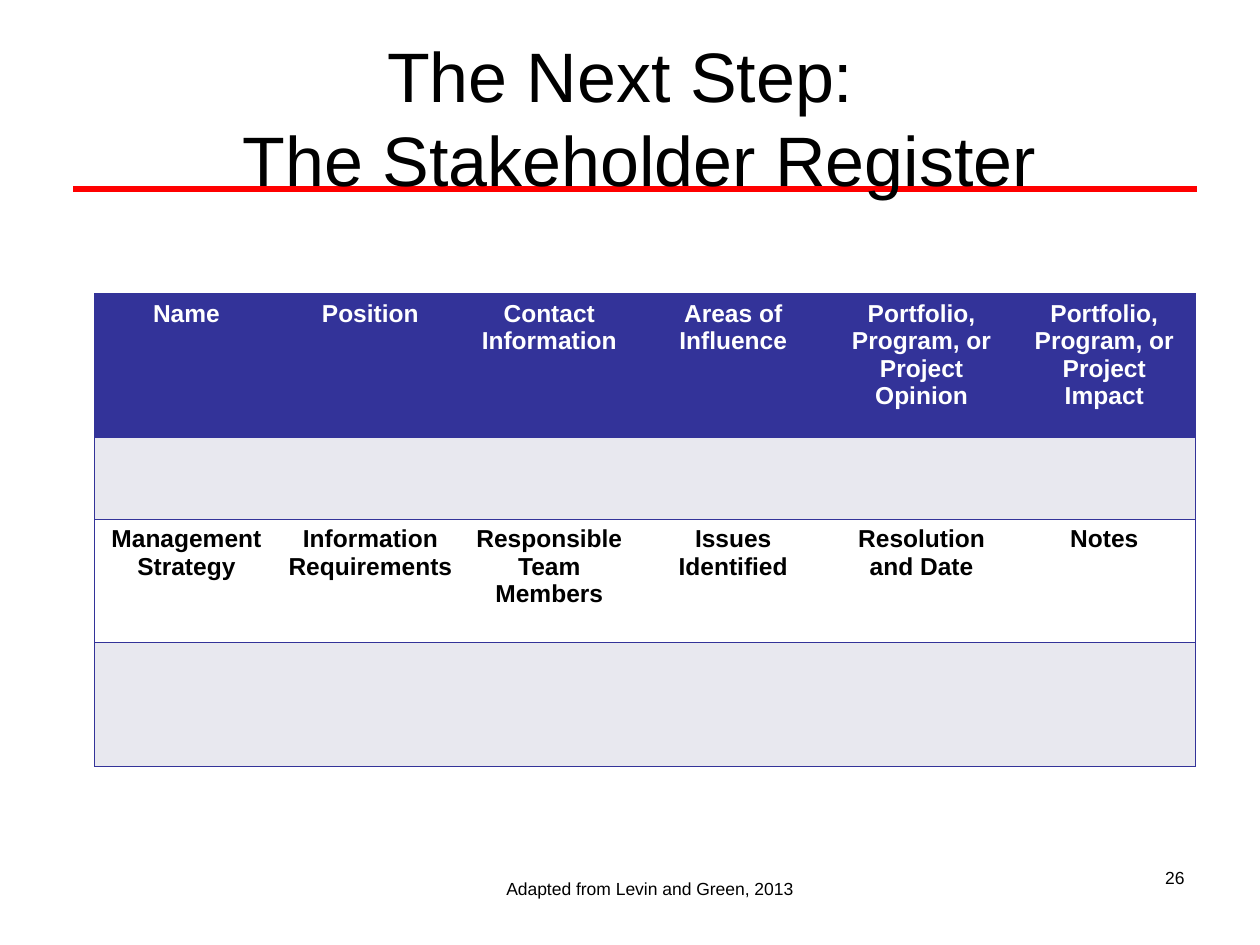
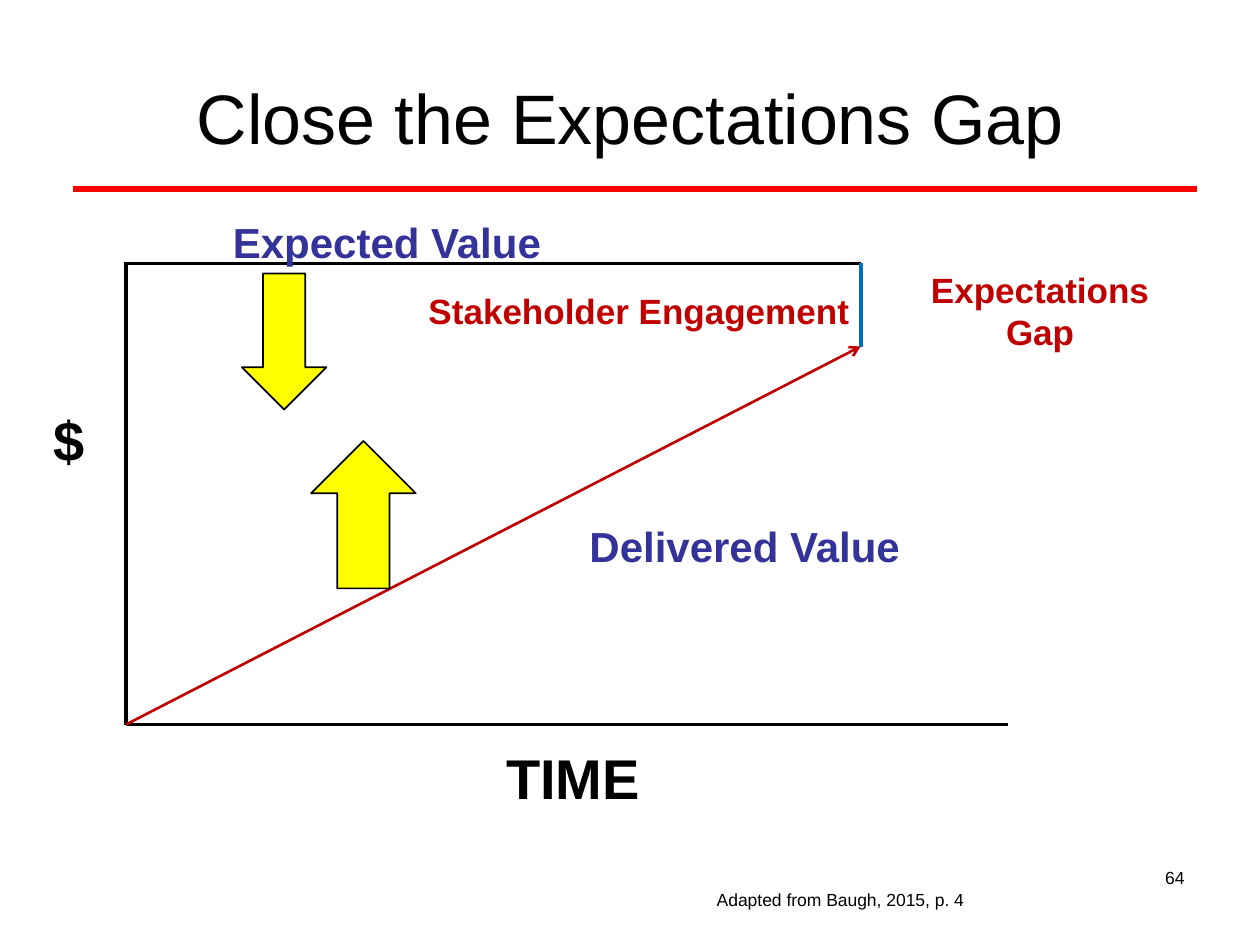
from lxml.etree import SubElement
from pptx import Presentation
from pptx.dml.color import RGBColor
from pptx.enum.shapes import MSO_CONNECTOR, MSO_SHAPE
from pptx.enum.text import MSO_ANCHOR, MSO_AUTO_SIZE, PP_ALIGN
from pptx.oxml.ns import qn
from pptx.util import Inches, Pt

BLACK = RGBColor(0x00, 0x00, 0x00)
WHITE = RGBColor(0xFF, 0xFF, 0xFF)
RED = RGBColor(0xFF, 0x00, 0x00)
DARK_RED = RGBColor(0xC0, 0x00, 0x00)
INDIGO = RGBColor(0x33, 0x33, 0x99)
PALE = RGBColor(0xE8, 0xE8, 0xEF)
BLUE = RGBColor(0x00, 0x70, 0xC0)
YELLOW = RGBColor(0xFF, 0xFF, 0x00)
FONT = "Arial"
NO_GRID_STYLE = "{2D5ABB26-0587-4C30-8999-92F81FD0307C}"


class Deck:
    """Holds the shared style and the slide being built."""

    def __init__(self):
        self.prs = Presentation()
        self.prs.slide_width = Inches(10)
        self.prs.slide_height = Inches(7.5)
        self.slide = None

    def format_text(self, frame, size, color, bold=False, align=PP_ALIGN.LEFT):
        for paragraph in frame.paragraphs:
            paragraph.alignment = align
            for run in paragraph.runs:
                run.font.name = FONT
                run.font.size = Pt(size)
                run.font.bold = bold
                run.font.color.rgb = color

    def start_slide(self, heading, number):
        self.slide = self.prs.slides.add_slide(self.prs.slide_layouts[5])
        title = self.slide.shapes.title
        title.left, title.top = Inches(0.5), Inches(0.3)
        title.width, title.height = Inches(9), Inches(1.25)
        frame = title.text_frame
        frame.text = heading
        frame.auto_size = MSO_AUTO_SIZE.NONE
        frame.vertical_anchor = MSO_ANCHOR.MIDDLE
        self.format_text(frame, 40, BLACK, align=PP_ALIGN.CENTER)
        # The rule lies behind the title
        rule = self.line((0.58, 1.5), (9.5, 1.5), RED, 3)
        title.element.addprevious(rule.element)
        self.label(str(number), (7.17, 6.83, 2.33, 0.52), 10, align=PP_ALIGN.RIGHT)

    def label(self, text, box, size, color=BLACK, bold=False,
              align=PP_ALIGN.LEFT, wrap=True):
        frame = self.slide.shapes.add_textbox(*map(Inches, box)).text_frame
        frame.word_wrap = wrap
        frame.text = text
        self.format_text(frame, size, color, bold, align)

    def line(self, start, end, color, width, arrow=False):
        connector = self.slide.shapes.add_connector(
            MSO_CONNECTOR.STRAIGHT, *map(Inches, start + end))
        connector.line.color.rgb = color
        connector.line.width = Pt(width)
        properties = connector.element.spPr
        if arrow:
            SubElement(properties.find(qn("a:ln")), qn("a:tailEnd"), type="arrow")
        SubElement(properties, qn("a:effectLst"))
        return connector

    def block_arrow(self, kind, box):
        arrow = self.slide.shapes.add_shape(kind, *map(Inches, box))
        arrow.shadow.inherit = False
        arrow.fill.solid()
        arrow.fill.fore_color.rgb = YELLOW
        arrow.line.color.rgb = BLACK
        arrow.line.width = Pt(1)

    def border(self, cell, sides):
        properties = cell._tc.get_or_add_tcPr()
        for side in sides:
            edge = SubElement(properties, qn(f"a:ln{side}"), w=str(Pt(0.45)))
            fill = SubElement(edge, qn("a:solidFill"))
            SubElement(fill, qn("a:srgbClr"), val=str(INDIGO))

    def table(self, rows, styles, left, top, widths, heights):
        grid = self.slide.shapes.add_table(
            len(rows), len(widths), Inches(left), Inches(top),
            Inches(sum(widths)), Inches(sum(heights))).table
        grid.first_row = grid.horz_banding = False
        grid._tbl.tblPr.find(qn("a:tableStyleId")).text = NO_GRID_STYLE
        for column, width in zip(grid.columns, widths):
            column.width = Inches(width)
        for r, (texts, (fill, color), height) in enumerate(zip(rows, styles, heights)):
            grid.rows[r].height = Inches(height)
            for c, text in enumerate(texts):
                cell = grid.cell(r, c)
                cell.margin_left = cell.margin_right = Inches(0.07)
                left_side = "L" if c == 0 else ""
                right_side = "R" if c == len(widths) - 1 else ""
                self.border(cell, left_side + right_side + "TB")
                cell.fill.solid()
                cell.fill.fore_color.rgb = fill
                cell.text_frame.text = text
                self.format_text(cell.text_frame, 14, color, True, PP_ALIGN.CENTER)


def build_register(deck):
    deck.start_slide("The Next Step: \v The Stakeholder Register", 26)
    # Two heading rows, each followed by an empty row to fill in
    blank = [""] * 6
    register = [
        ["Name", "Position", "Contact Information", "Areas of Influence",
         "Portfolio, Program, or Project Opinion",
         "Portfolio, Program, or Project Impact"],
        blank,
        ["Management Strategy", "Information Requirements",
         "Responsible Team Members", "Issues Identified",
         "Resolution and Date", "Notes"],
        blank,
    ]
    styles = [(INDIGO, WHITE), (PALE, BLACK), (WHITE, BLACK), (PALE, BLACK)]
    deck.table(register, styles, 0.75, 2.33,
               [1.46, 1.46, 1.38, 1.54, 1.45, 1.45], [1.14, 0.65, 0.98, 0.98])
    deck.label("Adapted from Levin and Green, 2013", (3.92, 6.92, 3.67, 0.27), 10)


def build_expectations_gap(deck):
    deck.start_slide("Close the Expectations Gap", 64)
    # Axes, value lines and the gap between them
    origin, expected_end, delivered_end = (1, 5.75), (6.83, 2.09), (6.83, 2.75)
    deck.line((1, 2.08), origin, BLACK, 2.25)
    deck.line(origin, (8, 5.75), BLACK, 2.25)
    deck.line((1, 2.09), expected_end, BLACK, 1.5)
    deck.line(origin, delivered_end, DARK_RED, 1.5, arrow=True)
    deck.line(expected_end, delivered_end, BLUE, 2.25)
    # Labels of the values and the gap
    deck.label("Expectations Gap", (7.17, 2.08, 2.17, 0.77), 20, DARK_RED, True,
               PP_ALIGN.CENTER)
    deck.label("Delivered Value", (4.58, 4.08, 3, 0.5), 24, INDIGO, True)
    deck.label("Expected Value", (1.75, 1.67, 3.83, 0.5), 24, INDIGO, True)
    deck.label("Stakeholder Engagement", (3.17, 2.25, 3.67, 0.44), 20, DARK_RED,
               True, PP_ALIGN.RIGHT)
    # Arrows closing the gap
    deck.block_arrow(MSO_SHAPE.DOWN_ARROW, (1.92, 2.17, 0.67, 1.08))
    deck.block_arrow(MSO_SHAPE.UP_ARROW, (2.47, 3.5, 0.83, 1.17))
    # Axis names and credit
    deck.label("TIME", (3.92, 5.85, 3.67, 0.64), 32, bold=True)
    deck.label("$", (0.33, 3.17, 0.5, 0.64), 32, bold=True)
    deck.label("Adapted from Baugh, 2015, p. 4", (5.59, 7.01, 2.16, 0.27), 10,
               wrap=False)


def main():
    deck = Deck()
    build_register(deck)
    build_expectations_gap(deck)
    deck.prs.save("out.pptx")


if __name__ == "__main__":
    main()
